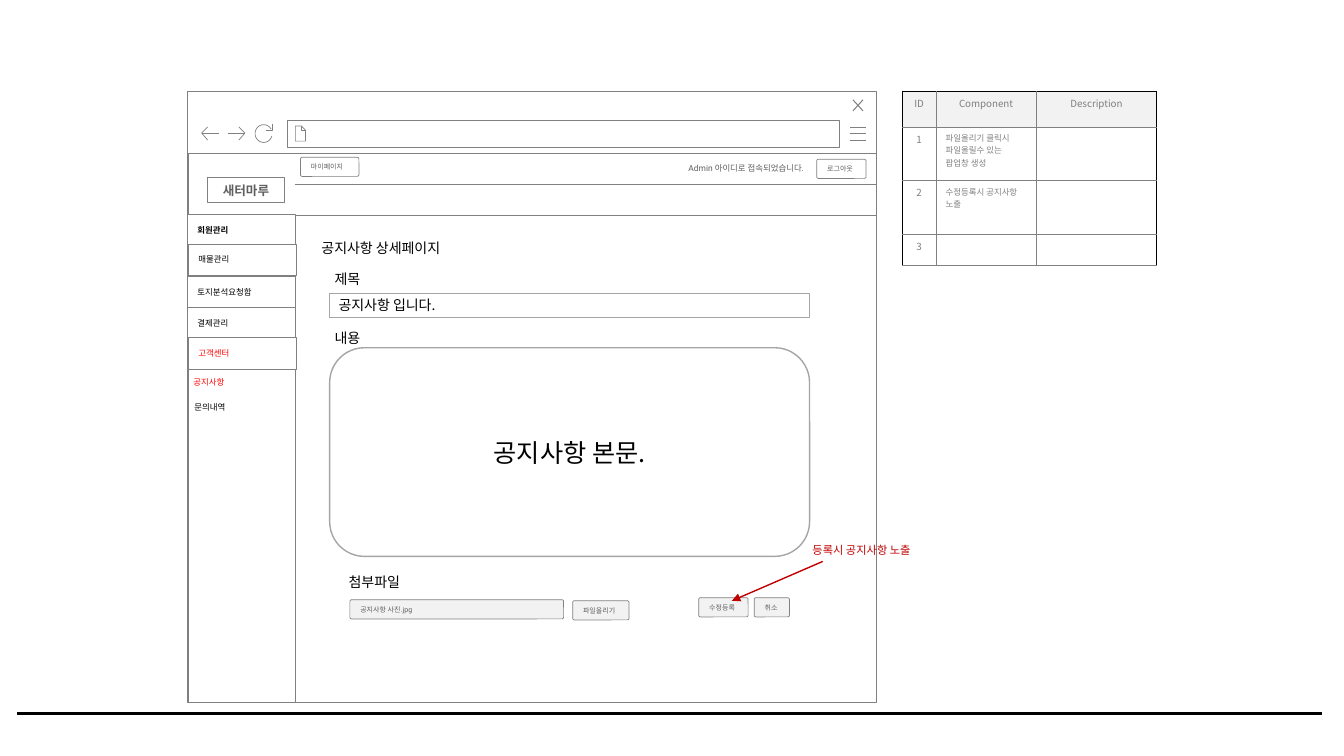
from dataclasses import dataclass
from math import cos, radians, sin

from lxml.etree import SubElement
from pptx import Presentation
from pptx.dml.color import RGBColor
from pptx.enum.shapes import MSO_CONNECTOR, MSO_SHAPE
from pptx.enum.text import MSO_ANCHOR, MSO_AUTO_SIZE, PP_ALIGN
from pptx.oxml.ns import qn
from pptx.util import Inches, Pt

RECT = MSO_SHAPE.RECTANGLE
ROUND = MSO_SHAPE.ROUNDED_RECTANGLE
STRAIGHT = MSO_CONNECTOR.STRAIGHT
LEFT, CENTER = PP_ALIGN.LEFT, PP_ALIGN.CENTER
TOP, MIDDLE = MSO_ANCHOR.TOP, MSO_ANCHOR.MIDDLE
GROW, FIXED = MSO_AUTO_SIZE.SHAPE_TO_FIT_TEXT, MSO_AUTO_SIZE.NONE

NOTO, ROBOTO = "Noto Sans CJK KR", "Roboto"
BLACK, WHITE, GRAY, PALE = "000000", "FFFFFF", "808080", "F2F2F2"
INK, SILVER, RED, CRIMSON = "5F5F5F", "A5A5A5", "FF0000", "C00000"

Point = tuple[float, float]


@dataclass
class Label:
    text: str
    size: float
    font: str = NOTO
    color: str = BLACK
    bold: bool = False
    align: PP_ALIGN = LEFT
    anchor: MSO_ANCHOR = TOP
    wrap: bool = True
    fit: MSO_AUTO_SIZE = GROW
    right: float = 0.1


@dataclass
class Box:
    at: tuple[float, float, float, float]
    label: Label | None = None
    fill: str | None = WHITE
    line: str = GRAY
    weight: float = 0.5
    kind: MSO_SHAPE = RECT
    corner: float | None = None


@dataclass
class Rule:
    start: Point
    end: Point
    color: str = GRAY
    weight: float = 0.5
    arrow: bool = False


@dataclass
class Icon:
    strokes: list[list[Point]]
    weight: float = 0.5


def rgb(color: str) -> RGBColor:
    return RGBColor.from_string(color)


def apply(target, values: dict) -> None:
    for name, value in values.items():
        setattr(target, name, value)


def write(frame, label: Label) -> None:
    apply(frame, {"word_wrap": label.wrap, "auto_size": label.fit,
                  "vertical_anchor": label.anchor, "margin_right": Inches(label.right)})
    write_run(frame.paragraphs[0], label)


def write_run(paragraph, label: Label) -> None:
    paragraph.alignment = label.align
    run = paragraph.add_run()
    run.text = label.text
    apply(run.font, {"name": label.font, "size": Pt(label.size), "bold": label.bold})
    run.font.color.rgb = rgb(label.color)
    SubElement(run.font._element, qn("a:ea"), typeface=NOTO)


def style_line(line, color: str, weight: float) -> None:
    line.color.rgb = rgb(color)
    line.width = Pt(weight)


def draw_box(shapes, box: Box) -> None:
    shape = shapes.add_shape(box.kind, *map(Inches, box.at))
    shape.shadow.inherit = False
    if box.corner is not None:
        shape.adjustments[0] = box.corner
    if box.fill:
        shape.fill.solid()
        shape.fill.fore_color.rgb = rgb(box.fill)
    else:
        shape.fill.background()
    style_line(shape.line, box.line, box.weight)
    if box.label:
        write(shape.text_frame, box.label)


def draw_text(shapes, at: tuple[float, float, float, float], label: Label) -> None:
    write(shapes.add_textbox(*map(Inches, at)).text_frame, label)


def draw_rule(shapes, rule: Rule) -> None:
    connector = shapes.add_connector(STRAIGHT, *map(Inches, rule.start + rule.end))
    style_line(connector.line, rule.color, rule.weight)
    if rule.arrow:
        SubElement(connector.line._get_or_add_ln(), qn("a:tailEnd"), type="triangle")
    SubElement(connector._element.spPr, qn("a:effectLst"))


def draw_icon(shapes, icon: Icon) -> None:
    strokes = [[(Inches(x), Inches(y)) for x, y in stroke] for stroke in icon.strokes]
    builder = shapes.build_freeform(*strokes[0][0], scale=1.0)
    for index, stroke in enumerate(strokes):
        if index:
            builder.move_to(*stroke[0])
        builder.add_line_segments(stroke[1:], close=False)
    shape = builder.convert_to_shape()
    shape.shadow.inherit = False
    shape.fill.background()
    style_line(shape.line, GRAY, icon.weight)


def draw_components(shapes) -> None:
    rows = [("ID", "Component", "Description"), ("1", "파일올리기 클릭시 파일올릴수 있는 팝업창 생성", ""),
            ("2", "수정등록시 공지사항 노출", ""), ("3", "", "")]
    widths, heights = [0.33, 1, 1.19], [0.36, 0.53, 0.53, 0.31]
    table = shapes.add_table(len(rows), len(widths), Inches(8.95), Inches(0.9),
                             Inches(sum(widths)), Inches(sum(heights))).table
    apply(table, {"first_row": False, "horz_banding": False})
    for column, width in zip(table.columns, widths):
        column.width = Inches(width)
    for r, (texts, height) in enumerate(zip(rows, heights)):
        table.rows[r].height = Inches(height)
        for c, text in enumerate(texts):
            cell = table.cell(r, c)
            paragraph = cell.text_frame.paragraphs[0]
            if text:
                note = r > 0 and c == 1
                write_run(paragraph, Label(text, 6 if note else 7, color=GRAY,
                                           align=LEFT if note else CENTER))
            else:
                SubElement(paragraph._p, qn("a:endParaRPr"), sz="700")
            outer = {"lnL": c == 0, "lnR": c == len(widths) - 1, "lnT": r == 0, "lnB": False}
            properties = cell._tc.get_or_add_tcPr()
            for side, is_outer in outer.items():
                border = SubElement(properties, qn(f"a:{side}"), w=str(Pt(0.25)))
                paint = SubElement(border, qn("a:solidFill"))
                SubElement(paint, qn("a:srgbClr"), val=BLACK if is_outer else GRAY)
            cell.fill.solid()
            cell.fill.fore_color.rgb = rgb(WHITE if r else PALE)


def button(at: tuple[float, float, float, float], text: str,
           fill: str = PALE, wrap: bool = False) -> Box:
    label = Label(text, 5, ROBOTO, INK, anchor=MIDDLE, wrap=wrap)
    return Box(at, label, fill, kind=ROUND, corner=0.09)


def menu(left: float, top: float, text: str, color: str = BLACK, bold: bool = False) -> Box:
    label = Label(text, 6, ROBOTO, color, bold, anchor=MIDDLE, fit=FIXED, right=0.2)
    return Box((left, top, 1.07, 0.31), label)


BROWSER = [Box((1.86, 1.52, 6.83, 5.45)), Box((1.86, 0.91, 6.83, 0.61)),
           Box((2.85, 1.19, 5.48, 0.27))]
RELOAD_ARC = [(2.615 + 0.085 * cos(radians(a)), 1.325 + 0.088 * sin(radians(a)))
              for a in range(17, 330, 12)]
ICONS = [
    Icon([[(8.43, y), (8.59, y)] for y in (1.39, 1.32, 1.26)]),
    Icon([[(8.56, 0.99), (8.46, 1.1)], [(8.46, 0.99), (8.56, 1.1)]], 0.75),
    Icon([[(2.99, 1.25), (2.99, 1.29), (3.03, 1.29)],
          [(2.93, 1.25), (2.93, 1.4), (3.03, 1.4), (3.03, 1.29), (2.99, 1.25), (2.93, 1.25)]]),
    Icon([[(2.06, 1.39), (2, 1.32), (2.06, 1.26)], [(2, 1.32), (2.17, 1.32)]]),
    Icon([[(2.37, 1.26), (2.43, 1.32), (2.37, 1.39)], [(2.42, 1.32), (2.26, 1.32)]]),
    Icon([[(2.7, 1.23), (2.7, 1.29), (2.64, 1.29)], RELOAD_ARC]),
]
RULES = [
    Rule((0.17, 7.08), (13.11, 7.08), BLACK, 1.75),
    Rule((1.87, 1.52), (1.87, 6.97)),
    Rule((2.93, 1.83), (8.69, 1.83)),
    Rule((1.86, 2.14), (8.69, 2.14)),
    Rule((2.93, 2.14), (2.93, 6.97)),
]
CALLOUT = Rule((8.16, 5.57), (7.26, 5.96), CRIMSON, 1, True)
PANELS = [
    Box((2.06, 1.76, 0.76, 0.25), Label("새터마루", 9, ROBOTO, INK, True, CENTER, MIDDLE),
        kind=ROUND, corner=0),
    button((8.1, 1.58, 0.49, 0.19), "로그아웃", WHITE),
    button((5.68, 5.96, 0.56, 0.19), "파일올리기"),
    menu(1.86, 2.13, "회원관리", bold=True),
    menu(1.87, 2.42, "매물관리"),
    menu(1.86, 2.74, "토지분석요청함"),
    menu(1.86, 3.05, "결제관리"),
    menu(1.87, 3.35, "고객센터", RED),
    Box((3.27, 3.45, 4.76, 2.07), Label("공지사항 본문.", 18, align=CENTER, anchor=MIDDLE, fit=FIXED),
        line=SILVER, weight=1, kind=ROUND),
    Box((3.27, 2.91, 4.76, 0.24), fill=None, line=SILVER, weight=0.75),
    button((6.93, 5.93, 0.49, 0.19), "수정등록"),
    button((7.48, 5.93, 0.35, 0.19), "취소"),
    button((2.98, 1.56, 0.58, 0.19), "마이페이지", WHITE, True),
    button((3.47, 5.95, 2.12, 0.19), "공지사항 사진.jpg", wrap=True),
]
TEXTS = [
    ((6.73, 1.57, 1.43, 0.2), Label("Admin 아이디로 접속되었습니다.", 6, ROBOTO, INK, wrap=False)),
    ((3.09, 2.33, 1.51, 0.27), Label("공지사항 상세페이지", 10)),
    ((7.96, 5.34, 2.52, 0.24), Label("등록시 공지사항 노출", 8, color=CRIMSON)),
    ((3.22, 2.63, 1.34, 0.27), Label("제목", 10)),
    ((3.22, 3.22, 1.34, 0.27), Label("내용", 10)),
    ((3.36, 5.64, 1.34, 0.27), Label("첨부파일", 10)),
    ((1.82, 3.69, 0.77, 0.2), Label("공지사항", 6, color=RED)),
    ((1.83, 3.94, 0.77, 0.2), Label("문의내역", 6)),
    ((3.26, 2.89, 1.34, 0.27), Label("공지사항 입니다.", 10)),
]


def main() -> None:
    deck = Presentation()
    apply(deck, {"slide_width": Inches(13.33), "slide_height": Inches(7.5)})
    shapes = deck.slides.add_slide(deck.slide_layouts[6]).shapes
    for box in BROWSER:
        draw_box(shapes, box)
    for icon in ICONS:
        draw_icon(shapes, icon)
    draw_components(shapes)
    for rule in RULES:
        draw_rule(shapes, rule)
    for box in PANELS:
        draw_box(shapes, box)
    draw_rule(shapes, CALLOUT)
    for at, label in TEXTS:
        draw_text(shapes, at, label)
    deck.save("out.pptx")


if __name__ == "__main__":
    main()
